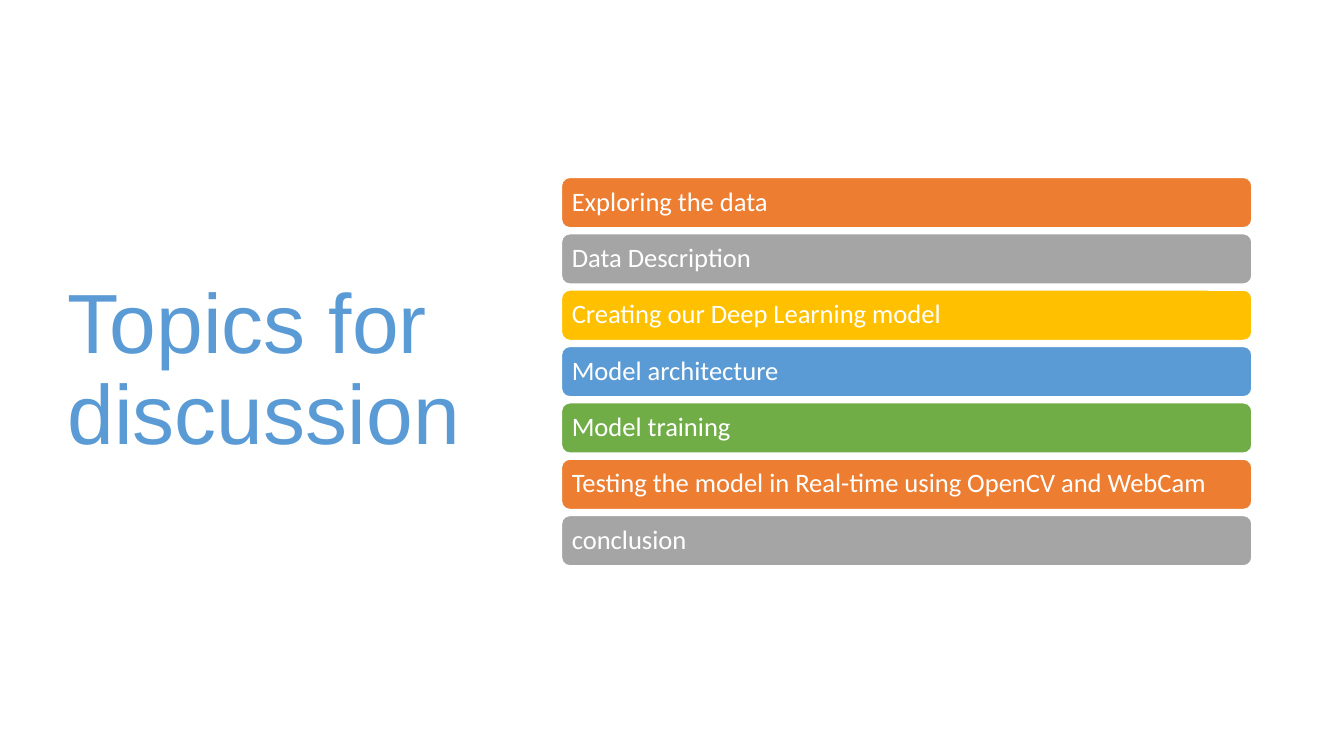
from typing import NamedTuple

from pptx import Presentation
from pptx.dml.color import RGBColor
from pptx.enum import shapes, text
from pptx.util import Cm, Pt

BAR_LEFT, BAR_TOP = 14.15, 4.47
BAR_WIDTH, BAR_HEIGHT = 17.4, 1.27
BAR_PITCH = 1.42
WHITE, BLUE = "FFFFFF", "5B9BD5"
ORANGE, GREY, GOLD, GREEN = "ED7D31", "A5A5A5", "FFC000", "70AD47"


class Topic(NamedTuple):
    label: str
    fill: str


TOPICS = [
    Topic("Exploring the data", ORANGE),
    Topic("Data Description", GREY),
    Topic("Creating our Deep Learning model", GOLD),
    Topic("Model architecture", BLUE),
    Topic("Model training", GREEN),
    Topic("Testing the model in Real-time using OpenCV and WebCam", ORANGE),
    Topic("conclusion", GREY),
]


def colour(value: str) -> RGBColor:
    return RGBColor.from_string(value)


def write(tf, content: str, font: str, size: float, font_colour: str) -> None:
    tf.text = content
    tf.word_wrap = True
    tf.auto_size = text.MSO_AUTO_SIZE.NONE
    tf.vertical_anchor = text.MSO_ANCHOR.MIDDLE
    p = tf.paragraphs[0]
    p.alignment = text.PP_ALIGN.LEFT
    p.line_spacing = 0.9
    p.font.name = font
    p.font.size = Pt(size)
    p.font.color.rgb = colour(font_colour)


def add_bar(s, topic: Topic, row: int) -> None:
    sp = s.shapes.add_shape(
        shapes.MSO_SHAPE.ROUNDED_RECTANGLE,
        Cm(BAR_LEFT), Cm(BAR_TOP + row * BAR_PITCH), Cm(BAR_WIDTH), Cm(BAR_HEIGHT),
    )
    sp.shadow.inherit = False
    sp.fill.solid()
    sp.fill.fore_color.rgb = colour(topic.fill)
    sp.line.color.rgb = colour(WHITE)
    sp.line.width = Pt(1)
    tf = sp.text_frame
    # The rounded corners already inset the text slightly
    tf.margin_left = tf.margin_right = Cm(0.2)
    tf.margin_top = tf.margin_bottom = Cm(0.1)
    write(tf, topic.label, "Calibri", 19, WHITE)


def main() -> None:
    prs = Presentation()
    prs.slide_width, prs.slide_height = Cm(33.87), Cm(19.05)
    s = prs.slides.add_slide(prs.slide_layouts.get_by_name("Title Only"))

    # Title
    title = s.shapes.title
    title.left, title.top = Cm(1.45), Cm(1.73)
    title.width, title.height = Cm(10.57), Cm(15.29)
    write(title.text_frame, "Topics for discussion", "Arial", 60, BLUE)

    # Topic bars
    for row, topic in enumerate(TOPICS):
        add_bar(s, topic, row)

    prs.save("out.pptx")


if __name__ == "__main__":
    main()
